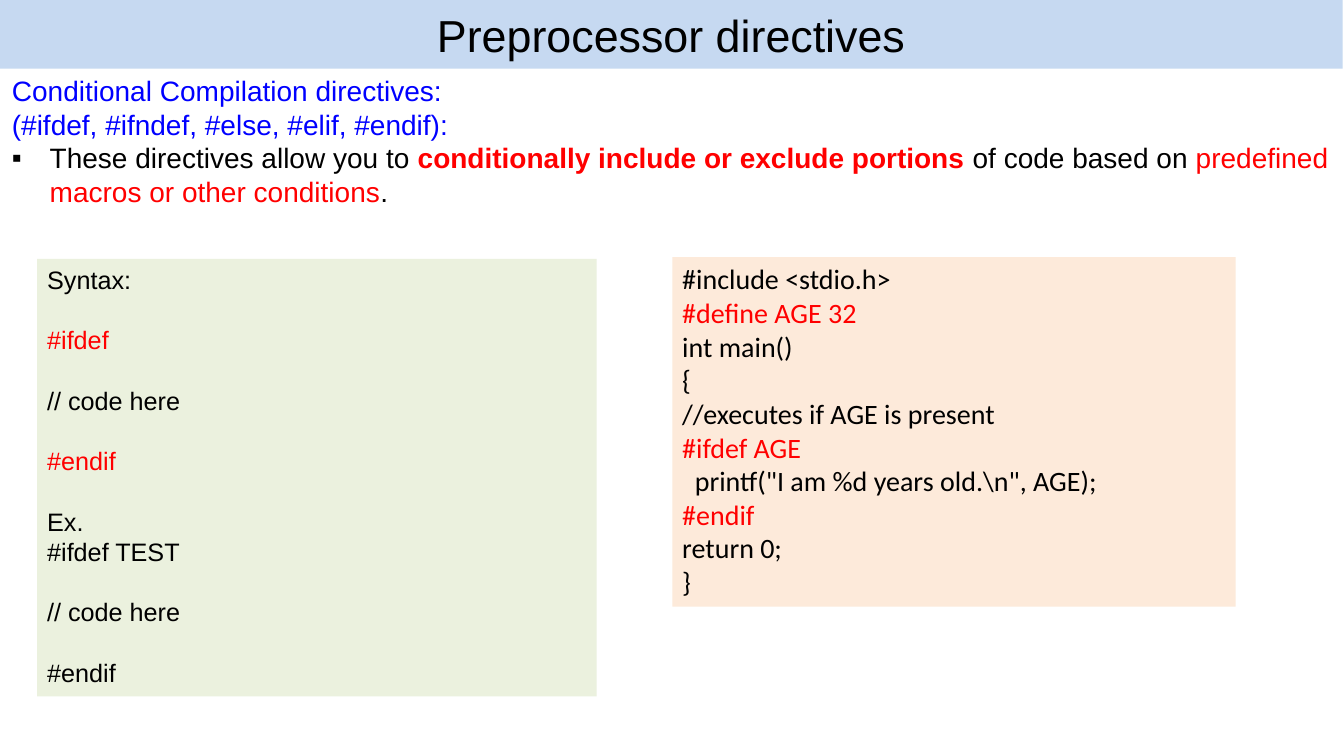
from dataclasses import dataclass

from lxml.etree import SubElement
from pptx import Presentation
from pptx.dml.color import RGBColor
from pptx.enum.shapes import MSO_SHAPE
from pptx.enum.text import MSO_ANCHOR, PP_ALIGN
from pptx.oxml.ns import qn
from pptx.util import Pt


@dataclass(frozen=True)
class Theme:
    band: RGBColor = RGBColor(0xC6, 0xD9, 0xF1)
    syntax_panel: RGBColor = RGBColor(0xEB, 0xF1, 0xDE)
    example_panel: RGBColor = RGBColor(0xFD, 0xEA, 0xDA)
    ink: RGBColor = RGBColor(0, 0, 0)
    heading: RGBColor = RGBColor(0, 0, 0xFF)
    accent: RGBColor = RGBColor(0xFF, 0, 0)
    sans: str = "Arial"
    code: str = "Calibri"
    title_size: int = 32
    body_size: int = 20
    syntax_size: int = 18
    leading: float = 1.2


@dataclass(frozen=True)
class Box:
    left: float
    top: float
    width: float
    height: float

    def lengths(self):
        return Pt(self.left), Pt(self.top), Pt(self.width), Pt(self.height)


THEME = Theme()


def add_panel(slide, box, fill):
    shape = slide.shapes.add_shape(MSO_SHAPE.RECTANGLE, *box.lengths())
    shape.shadow.inherit = False
    shape.fill.solid()
    shape.fill.fore_color.rgb = fill
    shape.line.fill.background()
    shape.text_frame.word_wrap = True
    shape.text_frame.vertical_anchor = MSO_ANCHOR.TOP
    return shape.text_frame


def next_paragraph(text_frame, index):
    return text_frame.add_paragraph() if index else text_frame.paragraphs[0]


def format_paragraph(paragraph, size):
    paragraph.alignment = PP_ALIGN.LEFT
    paragraph.line_spacing = Pt(size * THEME.leading)


def format_run(run, font_name, size, color, bold=False):
    run.font.name = font_name
    run.font.size = Pt(size)
    run.font.color.rgb = color
    run.font.bold = bold


def add_bullet(paragraph, indent):
    properties = paragraph._p.get_or_add_pPr()
    properties.set("marL", str(Pt(indent)))
    properties.set("indent", str(-Pt(indent)))
    SubElement(properties, qn("a:buFont"), typeface=THEME.sans)
    SubElement(properties, qn("a:buChar"), char="▪")


def add_title(slide, box, title):
    text_frame = add_panel(slide, box, THEME.band)
    text_frame.vertical_anchor = MSO_ANCHOR.MIDDLE
    text_frame.text = title
    paragraph = text_frame.paragraphs[0]
    paragraph.alignment = PP_ALIGN.CENTER
    format_run(paragraph.runs[0], THEME.sans, THEME.title_size, THEME.ink)


def add_explanation(slide, box, headings, pieces):
    text_frame = slide.shapes.add_textbox(*box.lengths()).text_frame
    text_frame.word_wrap = True
    for index, heading in enumerate(headings):
        paragraph = next_paragraph(text_frame, index)
        paragraph.text = heading
        format_paragraph(paragraph, THEME.body_size)
        format_run(paragraph.runs[0], THEME.sans, THEME.body_size, THEME.heading)
    paragraph = text_frame.add_paragraph()
    format_paragraph(paragraph, THEME.body_size)
    add_bullet(paragraph, 27)
    for text, color, bold in pieces:
        run = paragraph.add_run()
        run.text = text
        format_run(run, THEME.sans, THEME.body_size, color, bold)


def add_code_panel(slide, box, fill, font_name, size, lines, highlighted, spaced=()):
    text_frame = add_panel(slide, box, fill)
    for index, line in enumerate(lines):
        paragraph = next_paragraph(text_frame, index)
        paragraph.text = line
        format_paragraph(paragraph, size)
        if index in spaced:
            paragraph.space_before = Pt(size * THEME.leading)
        color = THEME.accent if line in highlighted else THEME.ink
        format_run(paragraph.runs[0], font_name, size, color)


def build_directives_slide(presentation):
    slide = presentation.slides.add_slide(presentation.slide_layouts[6])
    add_title(slide, Box(0, 0, 959, 49), "Preprocessor directives")
    add_explanation(
        slide,
        Box(1.4, 49, 959, 104.4),
        ["Conditional Compilation directives:", "(#ifdef, #ifndef, #else, #elif, #endif):"],
        [
            ("These directives allow you to ", THEME.ink, False),
            ("conditionally include or exclude portions ", THEME.accent, True),
            ("of code based on ", THEME.ink, False),
            ("predefined macros or other conditions", THEME.accent, False),
            (".", THEME.ink, False),
        ],
    )
    add_code_panel(
        slide,
        Box(480.2, 183.6, 402.5, 249.8),
        THEME.example_panel,
        THEME.code,
        THEME.body_size,
        [
            "#include <stdio.h>",
            "#define AGE 32",
            "int main()",
            "{",
            "//executes if AGE is present",
            "#ifdef AGE",
            '  printf("I am %d years old.\\n", AGE);',
            "#endif",
            "return 0;",
            "}",
        ],
        {"#define AGE 32", "#ifdef AGE", "#endif"},
    )
    syntax_box = Box(26.6, 185, 399.6, 312.5)
    syntax_lines = [
        "Syntax:",
        "#ifdef",
        "// code here",
        "#endif",
        "Ex.",
        "#ifdef TEST",
        "// code here",
        "#endif ".strip(),
    ]
    add_code_panel(
        slide,
        syntax_box,
        THEME.syntax_panel,
        THEME.sans,
        THEME.syntax_size,
        syntax_lines,
        {"#ifdef", "#endif"},
        spaced={1, 2, 3, 4, 6, 7},
    )
    closing_paragraph = slide.shapes[-1].text_frame.paragraphs[-1]
    closing_paragraph.runs[0].font.color.rgb = THEME.ink


def main():
    presentation = Presentation()
    presentation.slide_width = Pt(960)
    presentation.slide_height = Pt(540)
    build_directives_slide(presentation)
    presentation.save("out.pptx")


if __name__ == "__main__":
    main()
